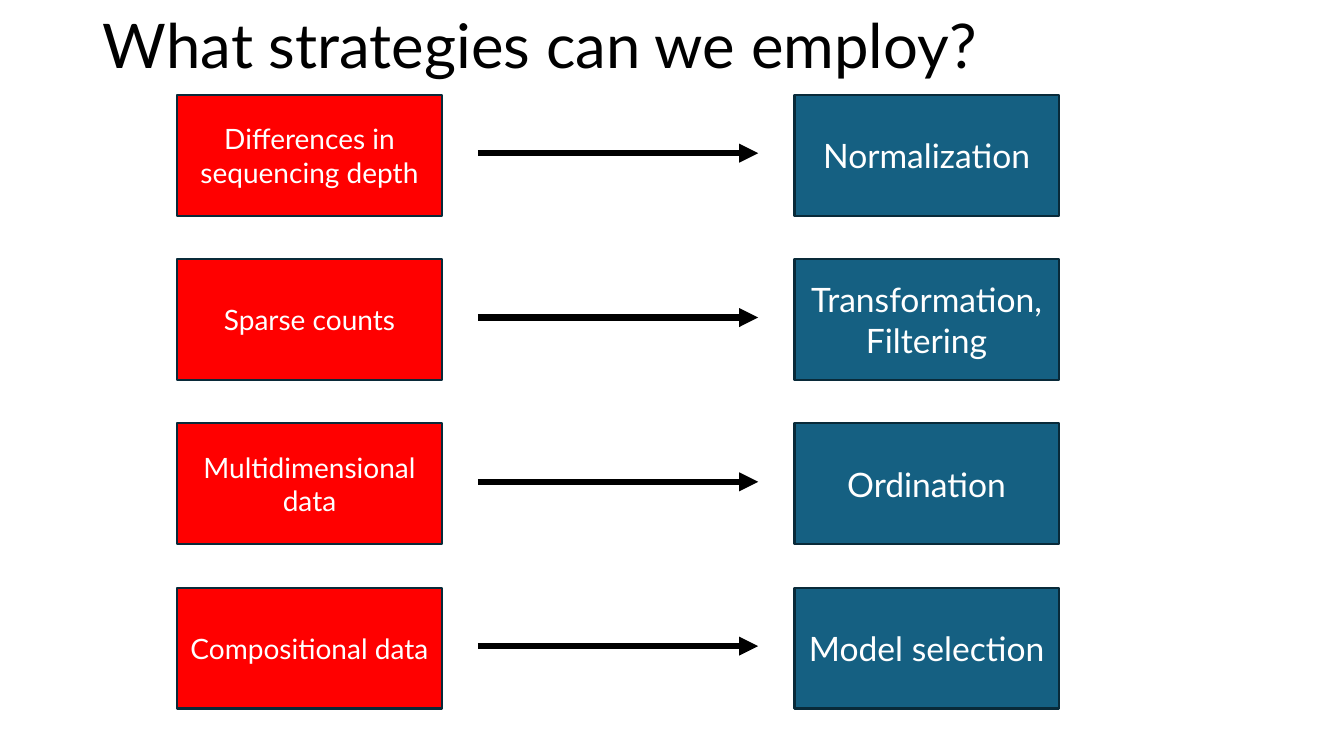
from lxml.etree import SubElement
from pptx import Presentation
from pptx.dml.color import RGBColor
from pptx.enum.shapes import MSO_CONNECTOR, MSO_SHAPE
from pptx.enum.text import MSO_ANCHOR, MSO_AUTO_SIZE, PP_ALIGN
from pptx.oxml.ns import qn
from pptx.util import Inches, Pt

COLORS = {
    "problem": "FF0000",
    "strategy": "156082",
    "outline": "092A39",
    "ink": "000000",
    "light": "FFFFFF",
}

STRATEGIES = [
    ("Differences in sequencing depth", "Normalization"),
    ("Sparse counts", "Transformation, Filtering"),
    ("Multidimensional data", "Ordination"),
    ("Compositional data", "Model selection"),
]

PROBLEM_LEFT, STRATEGY_LEFT = 1.76, 7.88
BOX_WIDTH, BOX_HEIGHT = 2.62, 1.2
ARROW_START, ARROW_END, ARROW_DROP = 4.74, 7.52, 0.58
FIRST_TOP, ROW_PITCH = 0.94, 1.63


def apply_format(target, values):
    for name, value in values.items():
        setattr(target, name, value)


class SlideBuilder:
    font = "Lato"

    def __init__(self, slide):
        self.slide = slide

    def color(self, name):
        return RGBColor.from_string(COLORS[name])

    def label(self, shape, words, size, ink, align, spacing=1.0):
        frame = shape.text_frame
        frame.text = words
        apply_format(frame, {
            "word_wrap": True,
            "auto_size": MSO_AUTO_SIZE.NONE,
            "vertical_anchor": MSO_ANCHOR.MIDDLE,
        })
        paragraph = frame.paragraphs[0]
        apply_format(paragraph, {"alignment": align, "line_spacing": spacing})
        font = paragraph.runs[0].font
        apply_format(font, {"name": self.font, "size": Pt(size)})
        font.color.rgb = self.color(ink)

    def title(self, words):
        heading = self.slide.shapes.title
        apply_format(heading, {
            "left": Inches(0.92), "top": Inches(-0.24),
            "width": Inches(11.5), "height": Inches(1.45),
        })
        self.label(heading, words, 44, "ink", PP_ALIGN.LEFT, 0.9)

    def box(self, words, left, top, fill, size):
        box = self.slide.shapes.add_shape(
            MSO_SHAPE.RECTANGLE, Inches(left), Inches(top),
            Inches(BOX_WIDTH), Inches(BOX_HEIGHT))
        box.shadow.inherit = False
        box.fill.solid()
        box.fill.fore_color.rgb = self.color(fill)
        box.line.color.rgb = self.color("outline")
        box.line.width = Pt(1.5)
        self.label(box, words, size, "light", PP_ALIGN.CENTER)

    def arrow(self, y):
        arrow = self.slide.shapes.add_connector(
            MSO_CONNECTOR.STRAIGHT, Inches(ARROW_START), Inches(y),
            Inches(ARROW_END), Inches(y))
        arrow.line.color.rgb = self.color("ink")
        arrow.line.width = Pt(4.5)
        properties = arrow.element.spPr
        SubElement(properties.find(qn("a:ln")), qn("a:tailEnd"), type="triangle")
        SubElement(properties, qn("a:effectLst"))


def main():
    deck = Presentation()
    apply_format(deck, {"slide_width": Inches(13.33), "slide_height": Inches(7.5)})
    title_only = deck.slide_layouts.get_by_name("Title Only")
    builder = SlideBuilder(deck.slides.add_slide(title_only))

    builder.title("What strategies can we employ?")
    for row, (problem, strategy) in enumerate(STRATEGIES):
        top = FIRST_TOP + row * ROW_PITCH
        builder.box(problem, PROBLEM_LEFT, top, "problem", 20)
        builder.box(strategy, STRATEGY_LEFT, top, "strategy", 24)
        builder.arrow(top + ARROW_DROP)

    deck.save("out.pptx")


if __name__ == "__main__":
    main()
